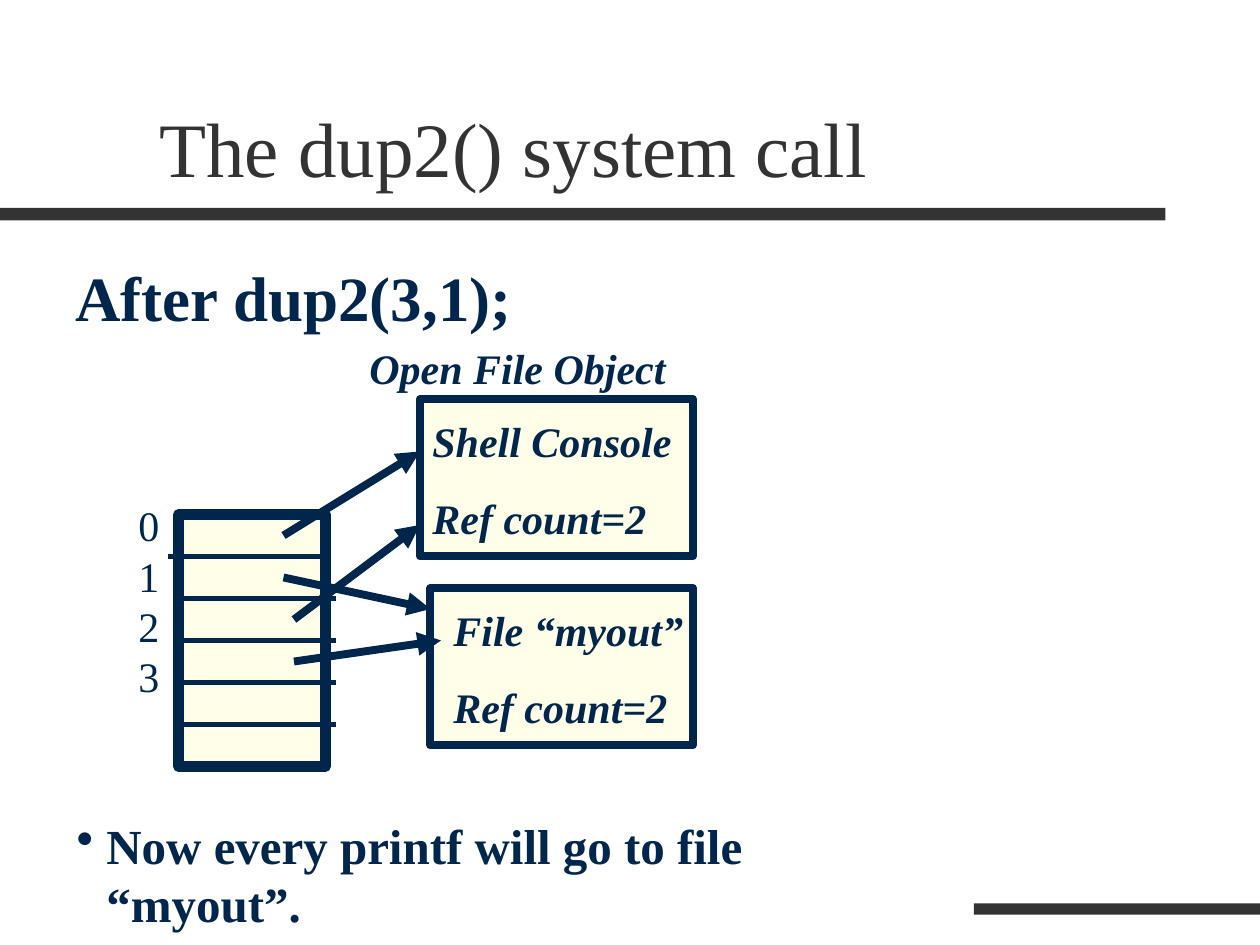
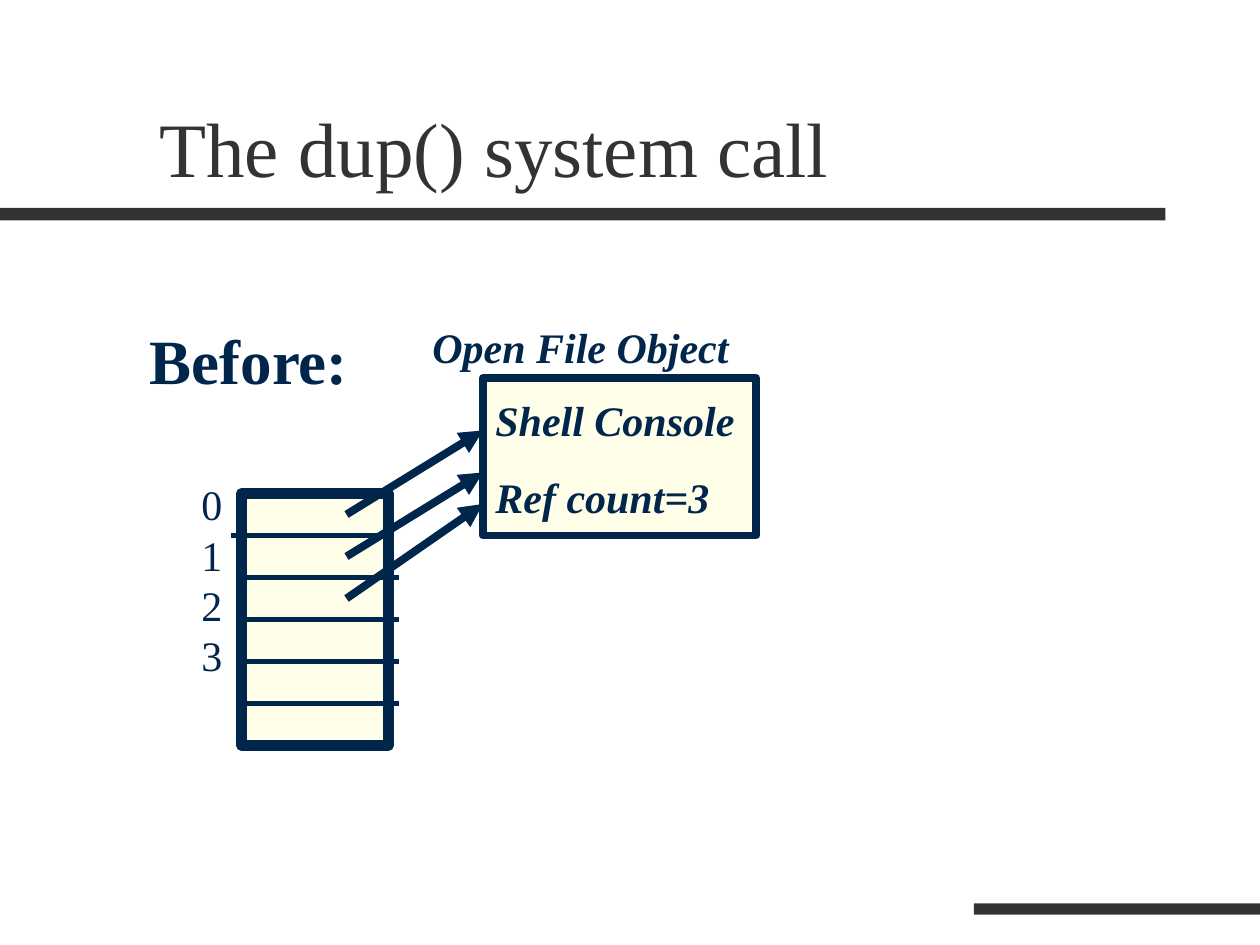
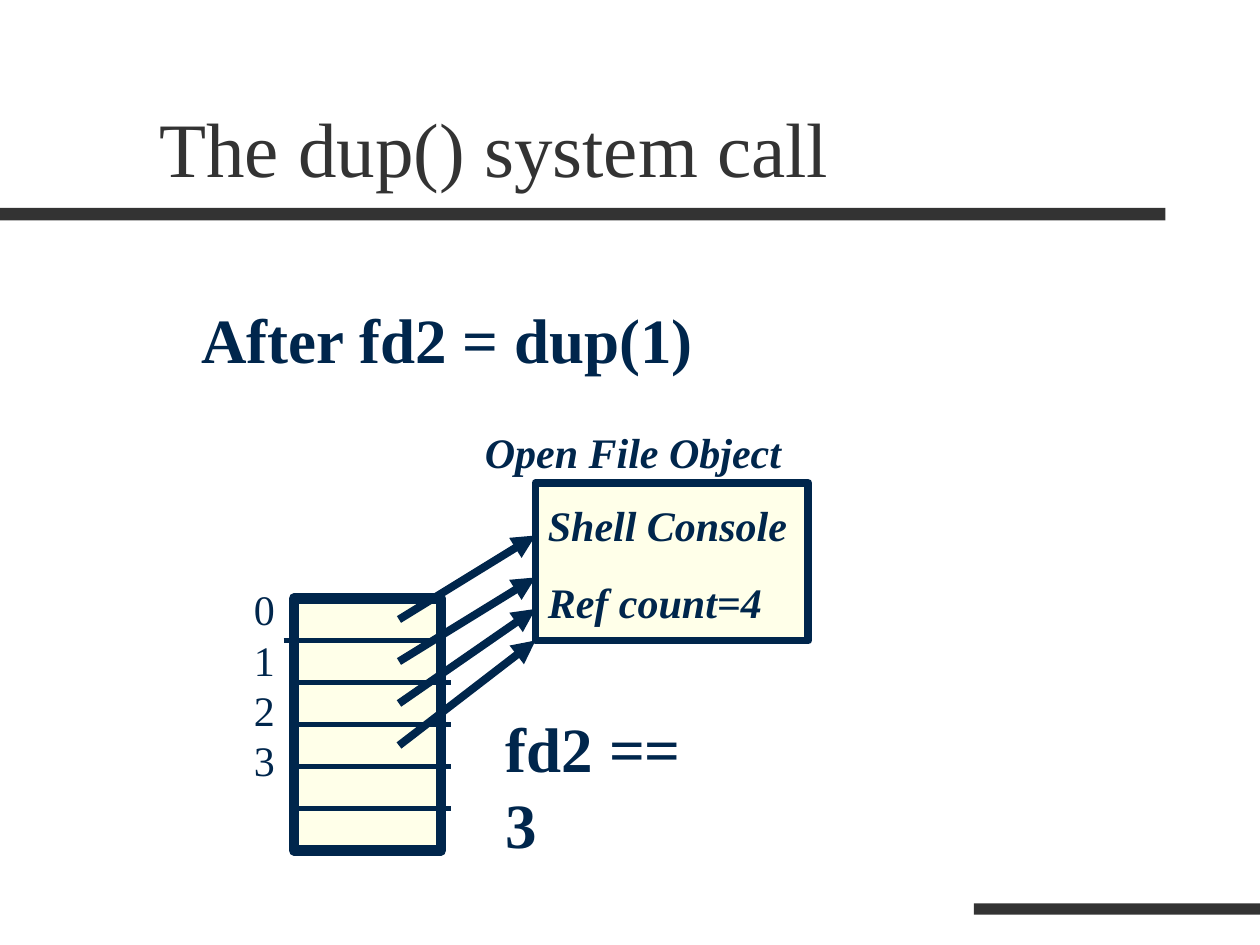
import pptx
import pptx.dml.color
import pptx.enum.shapes
import pptx.enum.text
import pptx.oxml.ns
import pptx.util
from lxml import etree

Pt = pptx.util.Pt
RGBColor = pptx.dml.color.RGBColor
qn = pptx.oxml.ns.qn

CHARCOAL = RGBColor(0x33, 0x33, 0x33)
NAVY = RGBColor(0x00, 0x26, 0x4C)
CREAM = RGBColor(0xFF, 0xFF, 0xE9)
FONT = "Times New Roman"

# Descriptor table: six rows, offsets below are measured from its top left
ROW_HEIGHT = 24
ROW_COUNT = 6
TABLE_WIDTH = 84
OBJECT_LEFT, OBJECT_TOP = 138, -66


class Deck:
    def __init__(self):
        self.presentation = pptx.Presentation()
        self.presentation.slide_width = Pt(720)
        self.presentation.slide_height = Pt(540)
        self.slide = None

    def new_slide(self, title):
        self.slide = self.presentation.slides.add_slide(self.presentation.slide_layouts[6])
        self.box(0, 118.8, 666, 7.2, CHARCOAL)
        self.box(556.56, 516.24, 163.44, 6.48, CHARCOAL)
        self.text(84, 24, 612, 90, [title], 44, color=CHARCOAL,
                  anchor=pptx.enum.text.MSO_ANCHOR.BOTTOM, grow=False)

    def box(self, left, top, width, height, fill, line_width=0):
        shape = self.slide.shapes.add_shape(
            pptx.enum.shapes.MSO_SHAPE.RECTANGLE, Pt(left), Pt(top), Pt(width), Pt(height))
        shape.shadow.inherit = False
        shape.fill.solid()
        shape.fill.fore_color.rgb = fill
        if line_width:
            shape.line.color.rgb = NAVY
            shape.line.width = Pt(line_width)
        else:
            shape.line.fill.background()

    def line(self, start, end, width, arrow=False):
        connector = self.slide.shapes.add_connector(
            pptx.enum.shapes.MSO_CONNECTOR.STRAIGHT, *(Pt(value) for value in (*start, *end)))
        connector.line.color.rgb = NAVY
        connector.line.width = Pt(width)
        if arrow:
            etree.SubElement(connector.line._get_or_add_ln(), qn("a:tailEnd"), type="triangle")
        etree.SubElement(connector._element.spPr, qn("a:effectLst"))

    def text(self, left, top, width, height, lines, size, color=NAVY, bold=False,
             italic=False, space_before=0, wrap=True, grow=True,
             anchor=pptx.enum.text.MSO_ANCHOR.TOP):
        shape = self.slide.shapes.add_textbox(Pt(left), Pt(top), Pt(width), Pt(height))
        frame = shape.text_frame
        frame.word_wrap = wrap
        frame.vertical_anchor = anchor
        if grow:
            frame.auto_size = pptx.enum.text.MSO_AUTO_SIZE.SHAPE_TO_FIT_TEXT
        frame.text = "\n".join(lines)
        for paragraph in frame.paragraphs:
            paragraph.space_before = Pt(space_before)
            paragraph.font.name = FONT
            paragraph.font.size = Pt(size)
            paragraph.font.bold = bold
            paragraph.font.italic = italic
            paragraph.font.color.rgb = color
        return frame

    def heading(self, left, top, width, words):
        self.text(left, top, width, 50.4, [words], 36, bold=True, space_before=22.5, wrap=False)

    def label(self, left, top, width, height, lines):
        self.text(left, top, width, height, lines, 24, bold=True, italic=True, space_before=15)

    def bullet(self, left, top, width, height, words):
        frame = self.text(left, top, width, height, [words], 28, bold=True, space_before=17.5)
        properties = frame.paragraphs[0]._p.get_or_add_pPr()
        properties.set("marL", str(Pt(17)))
        properties.set("indent", str(-Pt(17)))
        # Bullet elements go before the default run properties
        bullet_color = etree.Element(qn("a:buClr"))
        etree.SubElement(bullet_color, qn("a:srgbClr"), val=str(NAVY))
        bullet_mark = etree.Element(qn("a:buChar"), char="•")
        defaults = properties.find(qn("a:defRPr"))
        defaults.addprevious(bullet_color)
        defaults.addprevious(bullet_mark)

    def descriptor_table(self, left, top):
        self.box(left, top, TABLE_WIDTH, ROW_COUNT * ROW_HEIGHT, CREAM, 6)
        for row in range(1, ROW_COUNT):
            start = left - 6 if row == 1 else left
            y = top + row * ROW_HEIGHT
            self.line((start, y), (start + 90, y), 3)
        self.text(left - 30, top - 12, 30, 122.4, ["0 1 2 3"], 24, space_before=15)

    def file_object(self, left, top, width, lines, text_shift=0):
        self.box(left, top, width, 90, CREAM, 4.5)
        self.label(left + text_shift, top + 6, 156, 79.92, lines)

    def diagram(self, left, top, count, arrows):
        """Descriptor table, console object and arrows given as offset pairs."""
        self.descriptor_table(left, top)
        self.file_object(left + OBJECT_LEFT, top + OBJECT_TOP, 156,
                         ["Shell Console", f"Ref count={count}"])
        self.label(left + 102, top - 102, 186, 36, ["Open File Object"])
        for (x1, y1), (x2, y2) in arrows:
            self.line((left + x1, top + y1), (left + x2, top + y2), 4.5, arrow=True)


# Arrows from the descriptor rows to the console object
CONSOLE_ARROWS = [((60, 12 + row * ROW_HEIGHT), (OBJECT_LEFT, end))
                  for row, end in enumerate((-36, -12, 6, 24))]

deck = Deck()

# Slide 1: after dup2
deck.new_slide("The dup2() system call")
deck.file_object(246, 336, 150, ["File “myout”", "Ref count=2"], text_shift=6)
deck.diagram(102, 294, 2, [
    CONSOLE_ARROWS[0],
    ((60, 36), (144, 54)),
    ((66, 60), (138, 6)),
    ((66, 84), (150, 72)),
])
deck.heading(36, 144, 264.24, "After dup2(3,1);")
deck.bullet(36.72, 462.24, 505.44, 41.04, "Now every printf will go to file “myout”.")

# Slide 2: before dup
deck.new_slide("The dup() system call")
deck.diagram(138, 282, 3, CONSOLE_ARROWS[:3])
deck.heading(78.48, 180, 128.16, "Before:")

# Slide 3: after dup
deck.new_slide("The dup() system call")
deck.diagram(168, 342, 4, CONSOLE_ARROWS)
deck.heading(108, 168, 295.92, "After fd2 = dup(1)")
deck.heading(282, 402, 141.12, "fd2 == 3")

deck.presentation.save("out.pptx")
